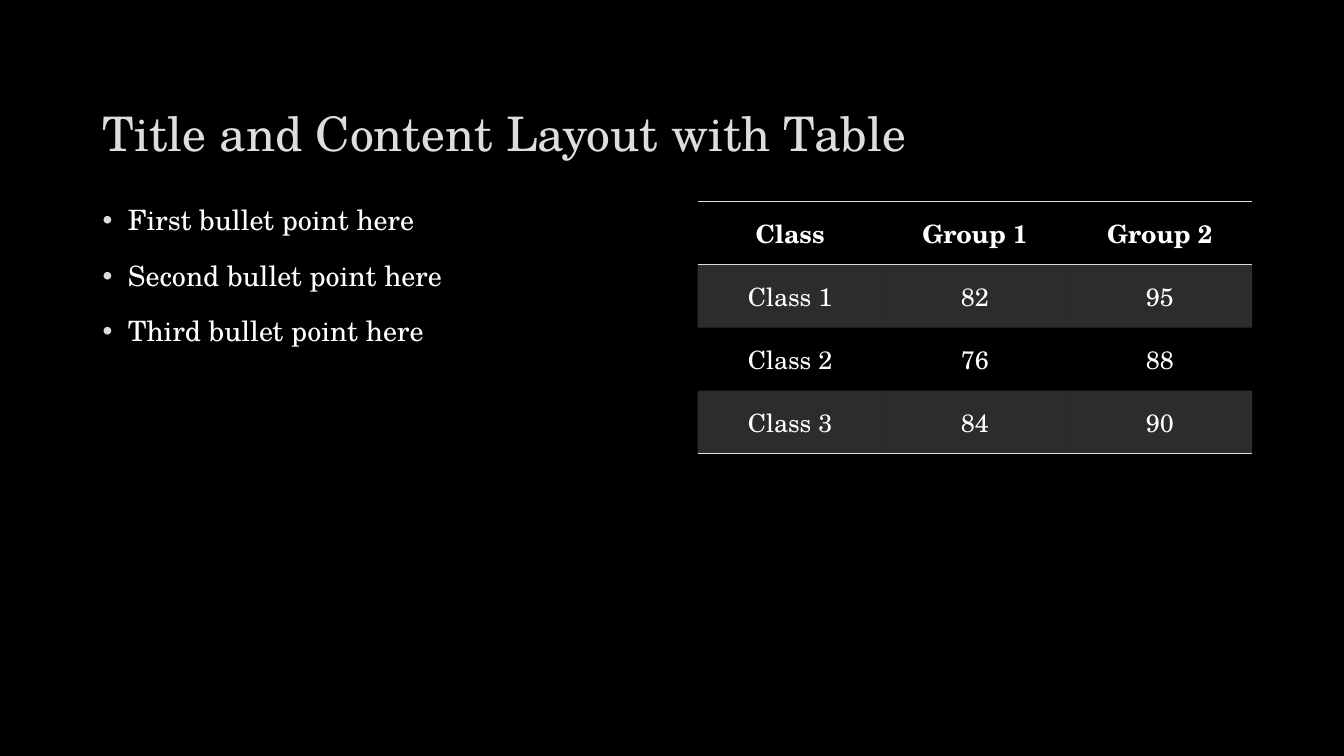
from dataclasses import dataclass

from lxml import etree
from pptx import Presentation
from pptx.dml.color import RGBColor
from pptx.enum.text import MSO_ANCHOR, PP_ALIGN
from pptx.oxml.ns import qn
from pptx.util import Inches, Pt

TOP, MIDDLE, BOTTOM = MSO_ANCHOR.TOP, MSO_ANCHOR.MIDDLE, MSO_ANCHOR.BOTTOM
CENTER = PP_ALIGN.CENTER
FONT = "TeX Gyre Schola"
BLACK, WHITE, GREY = "000000", "FFFFFF", "DDDDDD"
NO_GRID_STYLE = "{2D5ABB26-0587-4C30-8999-92F81FD0307C}"


@dataclass
class Block:
    left: float
    top: float
    width: float
    height: float
    lines: list[str]
    size: int
    color: str
    anchor: MSO_ANCHOR = TOP
    bulleted: bool = False


TITLE = Block(0.92, 0.4, 11.5, 1.25, ["Title and Content Layout with Table"],
              34, GREY, BOTTOM)
BULLETS = Block(0.92, 2, 5.5, 4.76,
                ["First bullet point here", "Second bullet point here",
                 "Third bullet point here"],
                20, WHITE, bulleted=True)
ROWS = [
    ["Class", "Group 1", "Group 2"],
    ["Class 1", "82", "95"],
    ["Class 2", "76", "88"],
    ["Class 3", "84", "90"],
]


def rgb(color: str) -> RGBColor:
    return RGBColor.from_string(color)


def add_run(p, text: str, size: int, color: str, bold: bool = False) -> None:
    r = p.add_run()
    r.text = text
    r.font.name = FONT
    r.font.size = Pt(size)
    r.font.bold = bold
    r.font.color.rgb = rgb(color)


def add_bullet(p) -> None:
    p.space_before = Pt(18)
    pPr = p._p.get_or_add_pPr()
    pPr.set("marL", str(Inches(0.25)))
    pPr.set("indent", str(-Inches(0.25)))
    color = etree.SubElement(pPr, qn("a:buClr"))
    etree.SubElement(color, qn("a:srgbClr"), val=GREY)
    etree.SubElement(pPr, qn("a:buFont"), typeface="Arial")
    etree.SubElement(pPr, qn("a:buChar"), char="•")


def add_block(s, block: Block) -> None:
    sp = s.shapes.add_textbox(Inches(block.left), Inches(block.top),
                              Inches(block.width), Inches(block.height))
    tf = sp.text_frame
    tf.word_wrap = True
    tf.vertical_anchor = block.anchor
    for i, line in enumerate(block.lines):
        p = tf.add_paragraph() if i else tf.paragraphs[0]
        p.line_spacing = 0.9
        if block.bulleted:
            add_bullet(p)
        add_run(p, line, block.size, block.color)


def fill_cell(cell, shaded: bool) -> None:
    if not shaded:
        cell.fill.background()
        return
    cell.fill.solid()
    cell.fill.fore_color.rgb = rgb(GREY)
    color = cell._tc.tcPr.find(".//" + qn("a:srgbClr"))
    etree.SubElement(color, qn("a:alpha"), val="20000")


def add_borders(cell, tags: list[str]) -> None:
    # Borders precede the fill in the cell properties
    for i, tag in enumerate(tags):
        ln = etree.Element(qn(tag), w=str(Pt(1)))
        fill = etree.SubElement(ln, qn("a:solidFill"))
        etree.SubElement(fill, qn("a:srgbClr"), val=GREY)
        cell._tc.tcPr.insert(i, ln)


def add_score_table(s, rows: list[list[str]]) -> None:
    frame = s.shapes.add_table(len(rows), len(rows[0]), Inches(6.92), Inches(2),
                               Inches(5.5), Inches(2.5))
    table = frame.table
    table._tbl.tblPr.find(qn("a:tableStyleId")).text = NO_GRID_STYLE
    for i, row in enumerate(rows):
        header, last = i == 0, i == len(rows) - 1
        borders = ["a:lnT"] if header else []
        if header or last:
            borders.append("a:lnB")
        for j, text in enumerate(row):
            cell = table.cell(i, j)
            cell.vertical_anchor = MIDDLE
            p = cell.text_frame.paragraphs[0]
            p.alignment = CENTER
            add_run(p, text, 18, WHITE, bold=header)
            fill_cell(cell, shaded=i % 2 == 1)
            add_borders(cell, borders)


def main() -> None:
    prs = Presentation()
    prs.slide_width, prs.slide_height = Inches(13.33), Inches(7.5)
    s = prs.slides.add_slide(prs.slide_layouts[6])

    # Background
    s.background.fill.solid()
    s.background.fill.fore_color.rgb = rgb(BLACK)

    # Title and bullet list
    for block in (TITLE, BULLETS):
        add_block(s, block)

    # Table
    add_score_table(s, ROWS)

    prs.save("out.pptx")


if __name__ == "__main__":
    main()
